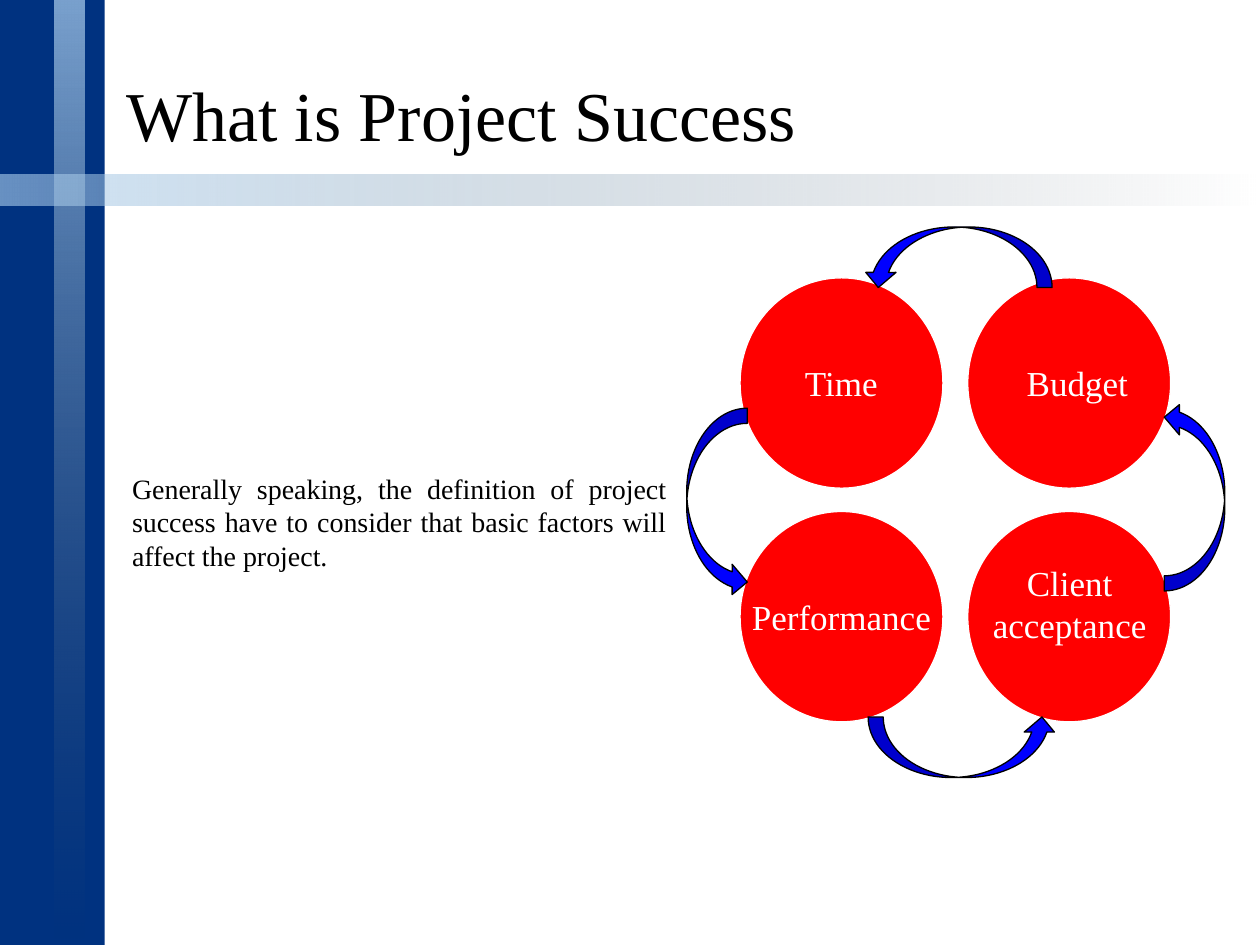
"""Build the project success slide: a statement beside a cycle of four factors."""
from lxml import etree
from pptx import Presentation
from pptx.dml.color import RGBColor
from pptx.enum.shapes import MSO_SHAPE
from pptx.enum.text import MSO_ANCHOR, PP_ALIGN
from pptx.oxml.ns import qn
from pptx.util import Pt

RECTANGLE, OVAL, CURVED_ARROW = MSO_SHAPE.RECTANGLE, MSO_SHAPE.OVAL, MSO_SHAPE.CURVED_UP_ARROW
LEFT, CENTER, JUSTIFY = PP_ALIGN.LEFT, PP_ALIGN.CENTER, PP_ALIGN.JUSTIFY
TOP, BOTTOM = MSO_ANCHOR.TOP, MSO_ANCHOR.BOTTOM

THEME = {
    "font": "Times New Roman",
    "title": 40, "label": 20, "body": 16,
    "text": "000000", "light": "FFFFFF", "band": "003280",
    "circle": "FF0000", "arrow": "0000FF",
    "glow": "AED1EF", "fade": "51616F",
}

TITLE = "What is Project Success"
STATEMENT = ("Generally speaking, the definition of project success have to consider "
             "that basic factors will affect the project.")
FACTORS = [
    {"text": "Time", "cell": (0, 0), "box": (452.9, 203, 56.9, 31.7), "align": LEFT},
    {"text": "Budget", "cell": (1, 0), "box": (579.6, 203, 75.6, 31.7), "align": LEFT},
    {"text": "Performance", "cell": (0, 1), "box": (422.6, 337, 120.2, 31.7), "align": LEFT},
    {"text": "Client acceptance", "cell": (1, 1), "box": (539.3, 317.5, 144, 55.4), "align": CENTER},
]
ARROWS = [
    {"center": (550.1, 427), "rotation": 0},
    {"center": (682.6, 283.7), "rotation": 270},
    {"center": (547.2, 147), "rotation": 180},
    {"center": (409.7, 287.3), "rotation": 90},
]
GLOW_BARS = [
    {"box": (31, 0, 17.5, 540), "rotation": 0, "opacity": 70},
    {"box": (351.25, -251.5, 17.5, 720), "rotation": 270, "opacity": 60},
]
GRID_LEFT, GRID_TOP = 422.9, 158.8
CIRCLE_WIDTH, CIRCLE_HEIGHT = 115.9, 120.2
GAP_X, GAP_Y = 14.2, 13.3
ARROW_WIDTH, ARROW_HEIGHT = 108, 34.6


def color(name):
    return RGBColor.from_string(THEME[name])


def add_shape(slide, kind, box, fill=None, line=None, rotation=0):
    shape = slide.shapes.add_shape(kind, *map(Pt, box))
    shape.shadow.inherit = False
    shape.rotation = rotation
    if fill:
        shape.fill.solid()
        shape.fill.fore_color.rgb = color(fill)
    if line:
        shape.line.color.rgb = color(line)
        shape.line.width = Pt(0.75)
    else:
        shape.line.fill.background()
    return shape


def add_glow_bar(slide, box, rotation, opacity):
    shape = add_shape(slide, RECTANGLE, box, rotation=rotation)
    shape.fill.gradient()
    shape.fill.gradient_angle = 270
    for stop, name in zip(shape.fill.gradient_stops, ("glow", "fade")):
        stop.color.rgb = color(name)
    stop_colors = shape._element.spPr.iter(qn("a:srgbClr"))
    for element, percent in zip(stop_colors, (opacity, 0)):
        etree.SubElement(element, qn("a:alpha")).set("val", str(percent * 1000))


def write(shape, text, size, ink, align, anchor=TOP):
    frame = shape.text_frame
    frame.text = text
    frame.word_wrap = True
    frame.vertical_anchor = anchor
    paragraph = frame.paragraphs[0]
    paragraph.alignment = align
    font = paragraph.runs[0].font
    font.color.rgb = color(ink)
    for name, value in {"name": THEME["font"], "size": Pt(THEME[size])}.items():
        setattr(font, name, value)


def add_factor(slide, text, cell, box, align):
    column, row = cell
    left = GRID_LEFT + column * (CIRCLE_WIDTH + GAP_X)
    top = GRID_TOP + row * (CIRCLE_HEIGHT + GAP_Y)
    add_shape(slide, OVAL, (left, top, CIRCLE_WIDTH, CIRCLE_HEIGHT), "circle", "light")
    write(slide.shapes.add_textbox(*map(Pt, box)), text, "label", "light", align)


def add_arrow(slide, center, rotation):
    box = (center[0] - ARROW_WIDTH / 2, center[1] - ARROW_HEIGHT / 2, ARROW_WIDTH, ARROW_HEIGHT)
    add_shape(slide, CURVED_ARROW, box, "arrow", "text", rotation)


def main():
    presentation = Presentation()
    presentation.slide_width, presentation.slide_height = Pt(720), Pt(540)
    slide = presentation.slides.add_slide(presentation.slide_layouts[5])

    add_shape(slide, RECTANGLE, (0, 0, 59.8, 540), "band")
    for bar in GLOW_BARS:
        add_glow_bar(slide, **bar)

    title = slide.shapes.title
    for name, value in zip(("left", "top", "width", "height"), (64.8, 20.2, 635, 72)):
        setattr(title, name, Pt(value))
    write(title, TITLE, "title", "text", JUSTIFY, BOTTOM)

    statement = slide.shapes.add_textbox(Pt(68.4), Pt(265.7), Pt(319.7), Pt(65.5))
    write(statement, STATEMENT, "body", "text", JUSTIFY)

    for factor in FACTORS:
        add_factor(slide, **factor)
    for arrow in ARROWS:
        add_arrow(slide, **arrow)
    presentation.save("out.pptx")


if __name__ == "__main__":
    main()
